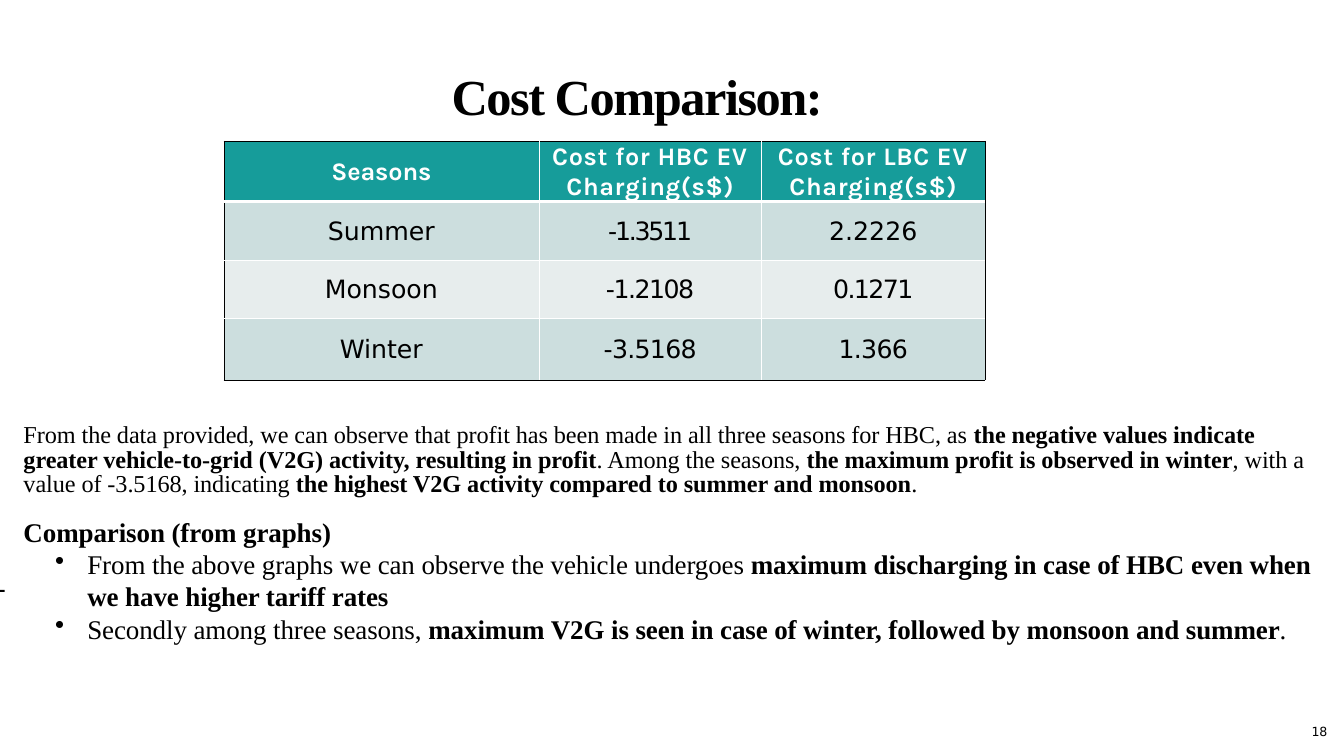
from dataclasses import dataclass

from lxml import etree
from pptx import Presentation
from pptx.dml.color import RGBColor
from pptx.enum.shapes import MSO_SHAPE
from pptx.enum.text import MSO_ANCHOR, PP_ALIGN
from pptx.oxml.ns import qn
from pptx.util import Inches, Pt

RECTANGLE = MSO_SHAPE.RECTANGLE
MIDDLE = MSO_ANCHOR.MIDDLE
LEFT, CENTER = PP_ALIGN.LEFT, PP_ALIGN.CENTER
COLORS = {"black": "000000", "white": "FFFFFF", "teal": "169C9A",
          "band": "CCDEDE", "pale": "E7EDED"}
SERIF, SANS, HEAD = "Times New Roman", "DejaVu Sans", "Karla"


@dataclass(frozen=True)
class Run:
    text: str
    size: float
    font: str = SERIF
    bold: bool = False
    spacing: float = 0
    color: str = "black"


@dataclass(frozen=True)
class Para:
    runs: list[Run]
    line: float
    before: float = 0
    bullet: bool = False
    align: PP_ALIGN = LEFT


@dataclass(frozen=True)
class Border:
    color: str
    width: float


OUTER, INNER = Border("black", 0.37), Border("white", 1)
COL_WIDTHS = [4.69, 3.31, 3.33]
ROW_HEIGHTS = [0.87, 0.87, 0.87, 0.92]
ROW_FILLS = ["teal", "band", "pale", "band"]
COL_RULES = [OUTER, INNER, INNER, OUTER]
ROW_RULES = [OUTER, Border("white", 4.25), INNER, Border("white", 1.5), OUTER]
COSTS = [
    [("Seasons", -0.1), ("Cost for HBC EV Charging(s$)", 0.7), ("Cost for LBC EV Charging(s$)", 0.7)],
    [("Summer", 0), ("-1.3511", -2.4), ("2.2226", 0)],
    [("Monsoon", 0), ("-1.2108", -1.6), ("0.1271", -1.7)],
    [("Winter", 0), ("-3.5168", -0.8), ("1.366", -0.8)],
]


def rgb(name: str) -> RGBColor:
    """Return a named colour."""
    return RGBColor.from_string(COLORS[name])


def body_runs(size: float, *texts: str) -> list[Run]:
    """Return runs that alternate between regular and bold."""
    return [Run(text, size, bold=i % 2 == 1, spacing=-0.1) for i, text in enumerate(texts)]


def write(tf, paras: list[Para]) -> None:
    """Write paragraphs into a text frame."""
    for i, para in enumerate(paras):
        p = tf.paragraphs[0] if i == 0 else tf.add_paragraph()
        p.alignment = para.align
        p.line_spacing = Pt(para.line)
        if para.before:
            p.space_before = Pt(para.before)
        if para.bullet:
            p.level = 1
            pPr = p._p.get_or_add_pPr()
            pPr.set("marL", str(Inches(0.95)))
            pPr.set("indent", str(Inches(-0.48)))
            etree.SubElement(pPr, qn("a:buChar")).set("char", "•")
        for run in para.runs:
            r = p.add_run()
            r.text = run.text
            r.font.size = Pt(run.size)
            r.font.name = run.font
            r.font.bold = run.bold
            r.font.color.rgb = rgb(run.color)
            r._r.get_or_add_rPr().set("spc", str(round(run.spacing * 100)))


def add_text(s, left: float, top: float, width: float, height: float, paras: list[Para]) -> None:
    """Add a text box without margins."""
    tf = s.shapes.add_textbox(Inches(left), Inches(top), Inches(width), Inches(height)).text_frame
    tf.word_wrap = True
    tf.margin_left = tf.margin_right = tf.margin_top = tf.margin_bottom = 0
    write(tf, paras)


def add_border(cell, tag: str, border: Border) -> None:
    """Draw one edge of a cell."""
    ln = etree.SubElement(cell._tc.get_or_add_tcPr(), qn(tag), w=str(Pt(border.width)))
    fill = etree.SubElement(ln, qn("a:solidFill"))
    etree.SubElement(fill, qn("a:srgbClr"), val=COLORS[border.color])


def add_cost_table(s, left: float, top: float) -> None:
    """Add the table of seasonal costs."""
    table = s.shapes.add_table(len(ROW_HEIGHTS), len(COL_WIDTHS), Inches(left), Inches(top),
                               Inches(sum(COL_WIDTHS)), Inches(sum(ROW_HEIGHTS))).table
    table.first_row = table.horz_banding = False
    for col, width in zip(table.columns, COL_WIDTHS):
        col.width = Inches(width)
    for i, costs in enumerate(COSTS):
        table.rows[i].height = Inches(ROW_HEIGHTS[i])
        for j, (text, spacing) in enumerate(costs):
            cell = table.cell(i, j)
            cell.margin_left = cell.margin_right = cell.margin_top = cell.margin_bottom = 0
            cell.vertical_anchor = MIDDLE
            add_border(cell, "a:lnL", COL_RULES[j])
            add_border(cell, "a:lnR", COL_RULES[j + 1])
            add_border(cell, "a:lnT", ROW_RULES[i])
            add_border(cell, "a:lnB", ROW_RULES[i + 1])
            cell.fill.solid()
            cell.fill.fore_color.rgb = rgb(ROW_FILLS[i])
            header = i == 0
            run = Run(text, 27, HEAD if header else SANS, header, spacing,
                      "white" if header else "black")
            write(cell.text_frame, [Para([run], 32.4, align=CENTER)])


def add_dash(s) -> None:
    """Add the small dash at the left edge."""
    sp = s.shapes.add_shape(RECTANGLE, 0, Inches(8.78), Inches(0.07), Inches(0.03))
    sp.shadow.inherit = False
    sp.fill.solid()
    sp.fill.fore_color.rgb = rgb("black")
    sp.line.fill.background()


def main() -> None:
    """Build the cost comparison slide."""
    prs = Presentation()
    prs.slide_width, prs.slide_height = Inches(20), Inches(11.25)
    s = prs.slides.add_slide(prs.slide_layouts[6])
    add_text(s, 6.72, 0.97, 6.56, 0.91, [
        Para([Run("Cost Comparison:", 54, bold=True, spacing=-1.6)], 64.8)])
    add_cost_table(s, 3.33, 2.1)
    add_dash(s)
    add_text(s, 0.35, 6.3, 19.3, 3.36, [
        Para(body_runs(
            26,
            "From the data provided, we can observe that profit has been made in all three seasons for HBC, as ",
            "the negative values indicate greater vehicle-to-grid (V2G) activity, resulting in profit",
            ". Among the seasons, ",
            "the maximum profit is observed in winter",
            ", with a value of -3.5168, indicating ",
            "the highest V2G activity compared to summer and monsoon",
            "."), 26.6),
        Para([Run("Comparison (from graphs)", 28.9, bold=True, spacing=-0.1)], 26.6, before=26.6),
        Para(body_runs(
            28.9,
            "From the above graphs we can observe the vehicle undergoes ",
            "maximum discharging in case of HBC even when we have higher tariff rates"),
            34.7, bullet=True),
        Para(body_runs(
            28.9,
            "Secondly among three seasons, ",
            "maximum V2G is seen in case of winter, followed by monsoon and summer",
            "."), 34.7, bullet=True),
    ])
    add_text(s, 19.52, 10.77, 0.27, 0.27, [Para([Run("18", 13.5, SANS, spacing=-0.4)], 16.2)])
    prs.save("out.pptx")


if __name__ == "__main__":
    main()
